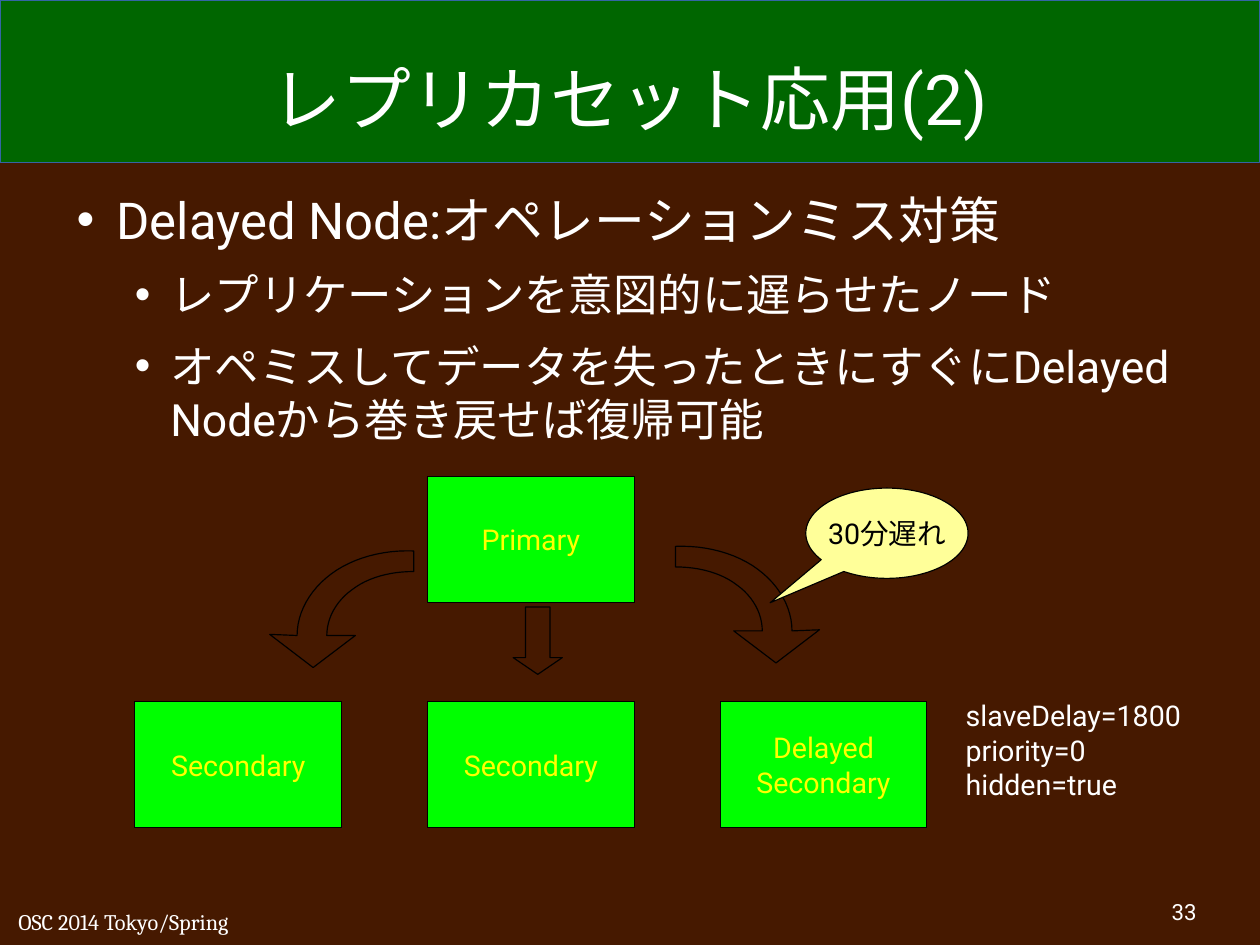
from dataclasses import dataclass
from typing import Optional

from lxml.etree import SubElement
from pptx import Presentation
from pptx.dml.color import RGBColor
from pptx.enum.lang import MSO_LANGUAGE_ID
from pptx.enum.shapes import MSO_SHAPE
from pptx.enum.text import MSO_ANCHOR, MSO_AUTO_SIZE, PP_ALIGN
from pptx.oxml.ns import qn
from pptx.util import Cm, Inches, Pt


@dataclass(frozen=True)
class Theme:
    background: str = "461900"
    band: str = "006600"
    band_line: str = "3465A4"
    node: str = "00FF00"
    node_text: str = "FFFF00"
    callout: str = "FFFF99"
    light: str = "FFFFFF"
    dark: str = "000000"
    font: str = "Roboto"
    footer_font: str = "Cambria"
    title_size: int = 44
    bullet_sizes: tuple = (32, 28)
    label_size: int = 18
    footer_size: int = 14


@dataclass(frozen=True)
class Box:
    left: float
    top: float
    width: float
    height: float

    def lengths(self) -> tuple:
        return tuple(Inches(v) for v in (self.left, self.top, self.width, self.height))


@dataclass(frozen=True)
class Bullet:
    text: str
    level: int = 1


@dataclass(frozen=True)
class BulletStyle:
    size: int
    margin: float
    hanging: float
    space_before: float


@dataclass(frozen=True)
class Node:
    text: str
    column: int
    row: int


@dataclass(frozen=True)
class Note:
    text: str
    box: Box
    size: int
    font: str
    inset: tuple = (0, 0)
    align: PP_ALIGN = PP_ALIGN.LEFT


THEME = Theme()
BULLET_STYLES = (
    BulletStyle(THEME.bullet_sizes[0], 0.47, 0.35, 14.2),
    BulletStyle(THEME.bullet_sizes[1], 0.94, 0.31, 11.3),
)
BULLETS = (
    Bullet("Delayed Node:オペレーションミス対策", 0),
    Bullet("レプリケーションを意図的に遅らせたノード"),
    Bullet("オペミスしてデータを失ったときにすぐにDelayed Nodeから巻き戻せば復帰可能"),
)
NODES = (
    Node("Primary", 1, 0),
    Node("Secondary", 0, 1),
    Node("Secondary", 1, 1),
    Node("Delayed\nSecondary", 2, 1),
)
NOTES = (
    Note("slaveDelay=1800\npriority=0\nhidden=true", Box(8.35, 6.06, 2.13, 1.46),
         THEME.label_size, THEME.font, (0.1, 0.05)),
    Note("OSC 2014 Tokyo/Spring", Box(0.16, 7.95, 3.48, 0.24),
         THEME.footer_size, THEME.footer_font),
    Note("33", Box(7.9, 7.86, 2.57, 0.24), THEME.footer_size, THEME.font,
         align=PP_ALIGN.RIGHT),
)
# Each step holds one point for a line, or three for a cubic curve.
ARROW_START = (6.67, 5.52)
ARROW_STEPS = (
    ((6.67, 5.37), (6.59, 5.22), (6.45, 5.12)),
    ((6.31, 5.01), (6.11, 4.96), (5.91, 4.96)),
    ((5.91, 4.78),),
    ((6.18, 4.77), (6.44, 4.84), (6.63, 4.98)),
    ((6.82, 5.12), (6.93, 5.32), (6.93, 5.52)),
    ((7.17, 5.51),),
    ((6.79, 5.8),),
    ((6.42, 5.52),),
)
MIRROR_SUM = 9.53
LEFT_ARROW_DROP = 0.04


def format_text(frame, size: float, color: str, align: PP_ALIGN,
                font: str = THEME.font, inset: tuple = (0, 0)) -> None:
    frame.auto_size = MSO_AUTO_SIZE.NONE
    frame.margin_left = frame.margin_right = Inches(inset[0])
    frame.margin_top = frame.margin_bottom = Inches(inset[1])
    for paragraph in frame.paragraphs:
        paragraph.alignment = align
        for run in paragraph.runs:
            run.font.size = Pt(size)
            run.font.name = font
            run.font.color.rgb = RGBColor.from_string(color)
            run.font.language_id = MSO_LANGUAGE_ID.JAPANESE


def paint(shape, fill: Optional[str] = None, line: str = THEME.dark) -> None:
    shape.shadow.inherit = False
    if fill:
        shape.fill.solid()
        shape.fill.fore_color.rgb = RGBColor.from_string(fill)
    else:
        shape.fill.background()
    shape.line.color.rgb = RGBColor.from_string(line)
    shape.line.width = Pt(0)


def add_labelled(slide, kind: MSO_SHAPE, box: Box, text: str, fill: str, color: str):
    shape = slide.shapes.add_shape(kind, *box.lengths())
    paint(shape, fill)
    frame = shape.text_frame
    frame.text = text
    frame.word_wrap = False
    frame.vertical_anchor = MSO_ANCHOR.MIDDLE
    format_text(frame, THEME.label_size, color, PP_ALIGN.CENTER, inset=(0.1, 0.05))
    return shape


def place(shape, box: Box) -> None:
    shape.left, shape.top, shape.width, shape.height = box.lengths()


def add_title(slide) -> None:
    title = slide.shapes.title
    band = slide.shapes.add_shape(MSO_SHAPE.RECTANGLE, *Box(0, 0, 11.02, 1.42).lengths())
    paint(band, THEME.band, THEME.band_line)
    title.element.addprevious(band.element)
    place(title, Box(0.55, 0.33, 9.92, 1.05))
    title.text_frame.text = "レプリカセット応用(2)"
    title.text_frame.vertical_anchor = MSO_ANCHOR.MIDDLE
    format_text(title.text_frame, THEME.title_size, THEME.light, PP_ALIGN.CENTER)


def add_bullets(slide) -> None:
    body = slide.placeholders[1]
    place(body, Box(0.55, 1.65, 9.92, 4.8))
    frame = body.text_frame
    frame.text = "\n".join(bullet.text for bullet in BULLETS)
    format_text(frame, THEME.bullet_sizes[0], THEME.light, PP_ALIGN.LEFT)
    for paragraph, bullet in zip(frame.paragraphs, BULLETS):
        style = BULLET_STYLES[bullet.level]
        paragraph.level = bullet.level
        paragraph.space_before = Pt(style.space_before)
        paragraph.runs[0].font.size = Pt(style.size)
        properties = paragraph._p.get_or_add_pPr()
        properties.set("marL", str(Inches(style.margin)))
        properties.set("indent", str(-Inches(style.hanging)))
        SubElement(properties, qn("a:buChar"), char="•")


def curve_points(start: tuple, step: tuple, pieces: int = 12) -> list:
    """Return the points that follow start along a line or a cubic curve."""
    if len(step) == 1:
        return list(step)
    points = []
    for index in range(1, pieces + 1):
        t = index / pieces
        weights = ((1 - t) ** 3, 3 * t * (1 - t) ** 2, 3 * t * t * (1 - t), t ** 3)
        points.append(tuple(sum(w * p[axis] for w, p in zip(weights, (start, *step)))
                            for axis in (0, 1)))
    return points


def add_curved_arrow(slide, mirrored: bool) -> None:
    points = [ARROW_START]
    for step in ARROW_STEPS:
        points += curve_points(points[-1], step)
    if mirrored:
        points = [(MIRROR_SUM - x, y + LEFT_ARROW_DROP) for x, y in points]
    outline = [(Inches(x), Inches(y)) for x, y in points]
    builder = slide.shapes.build_freeform(*outline[0])
    builder.add_line_segments(outline[1:], close=True)
    paint(builder.convert_to_shape())


def add_diagram(slide) -> None:
    for node in NODES:
        box = Box(1.18 + 2.56 * node.column, 4.17 + 1.97 * node.row, 1.81, 1.1)
        add_labelled(slide, MSO_SHAPE.RECTANGLE, box, node.text, THEME.node, THEME.node_text)
    add_curved_arrow(slide, mirrored=True)
    arrow = slide.shapes.add_shape(MSO_SHAPE.DOWN_ARROW, *Box(4.49, 5.31, 0.43, 0.59).lengths())
    arrow.adjustments[1] = 0.34
    paint(arrow)
    add_curved_arrow(slide, mirrored=False)
    callout = add_labelled(slide, MSO_SHAPE.OVAL_CALLOUT, Box(7.05, 4.27, 1.42, 0.79),
                           "30分遅れ", THEME.callout, THEME.dark)
    callout.adjustments[0], callout.adjustments[1] = -0.72, 0.77


def add_note(slide, note: Note) -> None:
    frame = slide.shapes.add_textbox(*note.box.lengths()).text_frame
    frame.text = note.text
    frame.word_wrap = True
    format_text(frame, note.size, THEME.light, note.align, note.font, note.inset)


def main() -> None:
    presentation = Presentation()
    presentation.slide_width, presentation.slide_height = Cm(28), Cm(21)
    slide = presentation.slides.add_slide(presentation.slide_layouts[1])
    slide.background.fill.solid()
    slide.background.fill.fore_color.rgb = RGBColor.from_string(THEME.background)
    add_title(slide)
    add_bullets(slide)
    add_diagram(slide)
    for note in NOTES:
        add_note(slide, note)
    presentation.save("out.pptx")


if __name__ == "__main__":
    main()
